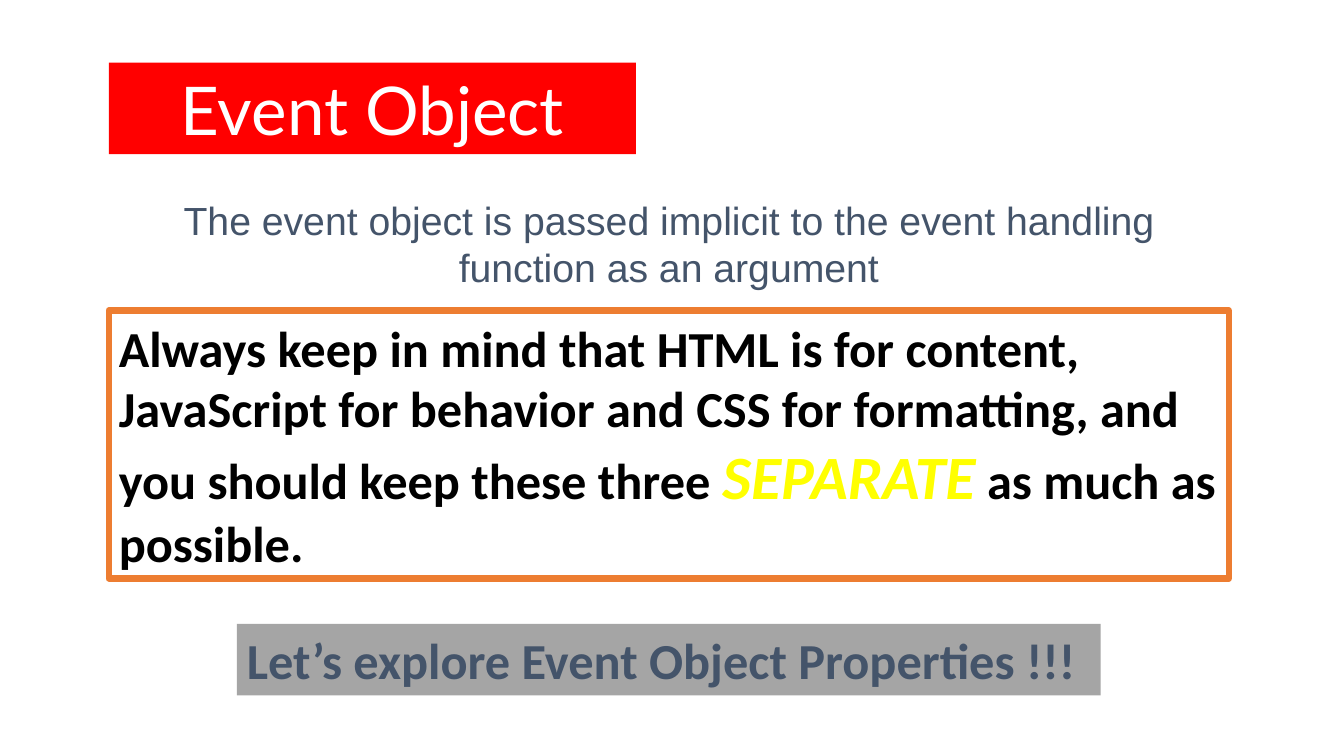
from dataclasses import dataclass

from pptx import Presentation
from pptx.dml.color import RGBColor
from pptx.enum.shapes import MSO_SHAPE
from pptx.enum.text import MSO_ANCHOR, MSO_AUTO_SIZE, PP_ALIGN
from pptx.util import Pt

RECTANGLE = MSO_SHAPE.RECTANGLE
MIDDLE = MSO_ANCHOR.MIDDLE
NO_AUTO_SIZE = MSO_AUTO_SIZE.NONE
LEFT, CENTER = PP_ALIGN.LEFT, PP_ALIGN.CENTER
TITLE_ONLY_LAYOUT = 5

WHITE, BLACK, RED, YELLOW = "FFFFFF", "000000", "FF0000", "FFFF00"
ORANGE, GRAY, SLATE = "ED7D31", "A5A5A5", "44546A"


@dataclass(frozen=True)
class TextRun:
    text: str
    size: float
    font: str
    color: str
    bold: bool = False
    italic: bool = False


@dataclass(frozen=True)
class Panel:
    left: float
    top: float
    width: float
    height: float
    runs: tuple[TextRun, ...]
    fill: str | None = None
    line: str | None = None
    alignment: PP_ALIGN = LEFT


TITLE = Panel(
    77.76, 44.64, 376.56, 65.52,
    (TextRun("Event Object", 48, "Lato", WHITE),),
    fill=RED, alignment=CENTER,
)
PANELS = (
    Panel(
        77.76, 135.36, 799.92, 77.04,
        (TextRun("The event object is passed implicit to the event handling "
                 "function as an argument", 28, "Arial", SLATE),),
        alignment=CENTER,
    ),
    Panel(
        77.76, 221.76, 799.92, 191.52,
        (
            TextRun("Always keep in mind that HTML is for content, JavaScript for "
                    "behavior and CSS for formatting, and you should keep these three ",
                    36, "Calibri", BLACK, bold=True),
            TextRun("SEPARATE", 44, "Calibri", YELLOW, bold=True, italic=True),
            TextRun(" as much as possible.", 36, "Calibri", BLACK, bold=True),
        ),
        fill=WHITE, line=ORANGE,
    ),
    Panel(
        169.2, 445.68, 617.04, 51.12,
        (TextRun("Let’s explore Event Object Properties !!!", 36, "Calibri", SLATE, bold=True),),
        fill=GRAY,
    ),
)


def color(value: str) -> RGBColor:
    return RGBColor.from_string(value)


def format_panel(shape, panel: Panel) -> None:
    shape.left, shape.top = Pt(panel.left), Pt(panel.top)
    shape.width, shape.height = Pt(panel.width), Pt(panel.height)
    if panel.fill:
        shape.fill.solid()
        shape.fill.fore_color.rgb = color(panel.fill)
    if panel.line:
        shape.line.color.rgb = color(panel.line)
        shape.line.width = Pt(4.5)
    else:
        shape.line.fill.background()

    text_frame = shape.text_frame
    text_frame.word_wrap = True
    text_frame.auto_size = NO_AUTO_SIZE
    text_frame.vertical_anchor = MIDDLE
    paragraph = text_frame.paragraphs[0]
    paragraph.alignment = panel.alignment
    for text_run in panel.runs:
        run = paragraph.add_run()
        run.text = text_run.text
        run.font.size = Pt(text_run.size)
        run.font.name = text_run.font
        run.font.bold = text_run.bold
        run.font.italic = text_run.italic
        run.font.color.rgb = color(text_run.color)


def add_panel(slide, panel: Panel) -> None:
    position = Pt(panel.left), Pt(panel.top), Pt(panel.width), Pt(panel.height)
    if panel.fill:
        shape = slide.shapes.add_shape(RECTANGLE, *position)
        shape.shadow.inherit = False
    else:
        shape = slide.shapes.add_textbox(*position)
    format_panel(shape, panel)


def main() -> None:
    presentation = Presentation()
    presentation.slide_width, presentation.slide_height = Pt(960), Pt(540)
    slide = presentation.slides.add_slide(presentation.slide_layouts[TITLE_ONLY_LAYOUT])
    format_panel(slide.shapes.title, TITLE)
    for panel in PANELS:
        add_panel(slide, panel)
    presentation.save("out.pptx")


if __name__ == "__main__":
    main()
